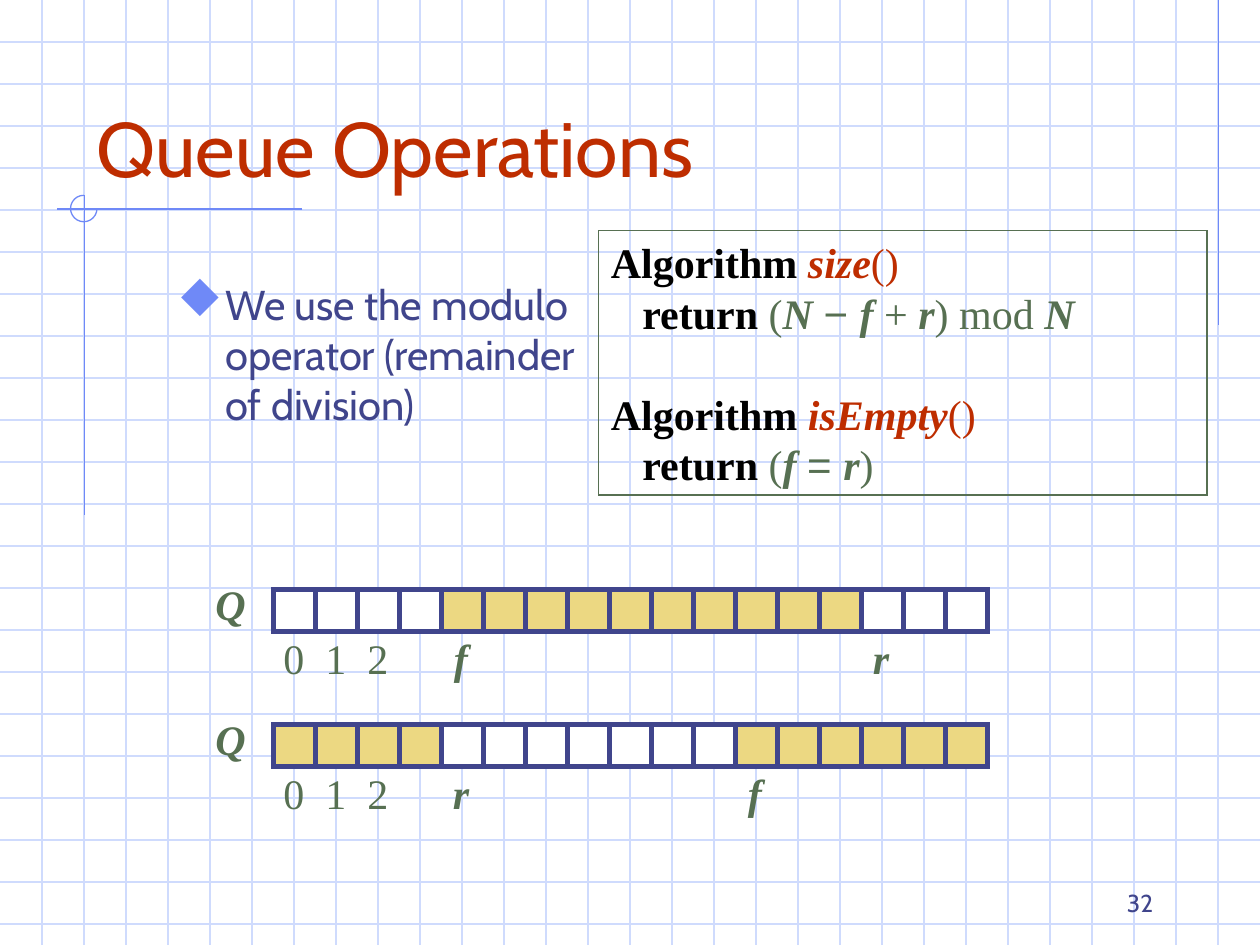
from lxml.etree import SubElement
from pptx import Presentation
from pptx.dml.color import RGBColor
from pptx.enum.shapes import MSO_CONNECTOR as Connector, MSO_SHAPE as Shape
from pptx.enum.text import MSO_ANCHOR as Anchor, PP_ALIGN as Align
from pptx.oxml.ns import qn
from pptx.util import Inches, Pt

GRID, BLUE, NAVY = "CFDBFD", "6F89F7", "40458C"
RED, GREEN, BLACK = "BE2D00", "577052", "000000"
WHITE, GOLD = "FFFFFF", "ECD882"
SANS, SERIF, SYMBOL = "Cabin", "Times New Roman", "Arial"
BULLET_FONT, DIAMOND = "Wingdings", "u"
STEP = 1 / 3
CELL_COUNT = 17


def color(value):
    return RGBColor.from_string(value)


def add_run(paragraph, text, size=24, font=SERIF, fill=GREEN, bold=False, italic=False):
    run = paragraph.add_run()
    run.text = text
    run.font.size = Pt(size)
    run.font.name = font
    run.font.color.rgb = color(fill)
    run.font.bold = bold
    run.font.italic = italic


def add_bullet(paragraph, symbol, fill, percent, indent):
    properties = paragraph._p.get_or_add_pPr()
    properties.set("marL", str(Inches(indent)))
    properties.set("indent", str(Inches(-indent)))
    bullet_color = SubElement(properties, qn("a:buClr"))
    SubElement(bullet_color, qn("a:srgbClr"), val=fill)
    SubElement(properties, qn("a:buSzPct"), val=str(percent * 1000))
    SubElement(properties, qn("a:buFont"), typeface=BULLET_FONT, pitchFamily="2", charset="2")
    SubElement(properties, qn("a:buChar"), char=symbol)


class QueueSlide:
    """Draws the elements of one slide in the style of the queue lecture."""

    def __init__(self, presentation):
        self.shapes = presentation.slides.add_slide(presentation.slide_layouts[6]).shapes

    def line(self, left, top, right, bottom, stroke=BLUE):
        line = self.shapes.add_connector(
            Connector.STRAIGHT, Inches(left), Inches(top), Inches(right), Inches(bottom))
        line.line.color.rgb = color(stroke)
        line.line.width = Pt(0.75)
        SubElement(line._element.spPr, qn("a:effectLst"))

    def shape(self, kind, left, top, width, height, stroke, weight=0.75, fill=None):
        shape = self.shapes.add_shape(
            kind, Inches(left), Inches(top), Inches(width), Inches(height))
        shape.shadow.inherit = False
        if fill:
            shape.fill.solid()
            shape.fill.fore_color.rgb = color(fill)
        else:
            shape.fill.background()
        shape.line.color.rgb = color(stroke)
        shape.line.width = Pt(weight)
        SubElement(shape._element.spPr.find(qn("a:ln")), qn("a:miter"), lim="800000")
        return shape

    def text(self, text, left, top, width, height, align=Align.LEFT,
             anchor=Anchor.TOP, inset=True, wrap=True, **style):
        box = self.shapes.add_textbox(Inches(left), Inches(top), Inches(width), Inches(height))
        frame = box.text_frame
        frame.word_wrap = wrap
        frame.vertical_anchor = anchor
        if not inset:
            frame.margin_left = frame.margin_right = 0
            frame.margin_top = frame.margin_bottom = 0
        paragraph = frame.paragraphs[0]
        paragraph.alignment = align
        add_run(paragraph, text, **style)
        return paragraph

    def label(self, text, left, top, width=0.31, **style):
        self.text(text, left, top, width, 0.4, Align.CENTER, inset=False,
                  bold=True, italic=True, **style)

    def background(self):
        for row in range(1, 23):
            self.line(0, row * STEP, 10, row * STEP, GRID)
        for column in range(1, 30):
            self.line(column * STEP, 0, column * STEP, 7.5, GRID)
        self.line(9.67, 0, 9.67, 2.58)
        self.line(2.4, 1.66, 0.45, 1.66)
        self.line(0.67, 1.55, 0.67, 4.09)
        arc = self.shape(Shape.ARC, 0.56, 1.55, 0.21, 0.21, BLUE)
        arc.adjustments[0] = 0
        arc.adjustments[1] = 270 * 0.6

    def algorithms(self, algorithms):
        box = self.shape(Shape.RECTANGLE, 4.75, 1.83, 4.83, 2.1, GREEN)
        frame = box.text_frame
        frame.word_wrap = True
        frame.vertical_anchor = Anchor.TOP
        for index, (name, expression) in enumerate(algorithms):
            heading = frame.add_paragraph() if index else frame.paragraphs[0]
            if index:
                heading.space_before = Pt(29)
            add_run(heading, "Algorithm ", fill=BLACK, bold=True)
            add_run(heading, name, fill=RED, bold=True, italic=True)
            add_run(heading, "()", fill=RED)
            body = frame.add_paragraph()
            body._p.get_or_add_pPr().set("marL", str(Inches(0.25)))
            add_run(body, "return ", fill=BLACK, bold=True)
            for text, style in expression:
                add_run(body, text, **style)
            for paragraph in (heading, body):
                paragraph.alignment = Align.LEFT

    def queue(self, top, filled, front, rear):
        left = 2.17
        self.label("Q", 1.67, top - 0.09, 0.32)
        for index in range(3):
            self.text(str(index), 2.25 + index * STEP, top + 0.34, 0.17, 0.4,
                      inset=False, wrap=False)
        for name, index in (("f", front), ("r", rear)):
            self.label(name, left + index * STEP, top + 0.34)
        for index in range(CELL_COUNT):
            self.shape(Shape.RECTANGLE, left + index * STEP, top, STEP, STEP, NAVY, 3,
                       GOLD if index in filled else WHITE)


def main():
    presentation = Presentation()
    presentation.slide_width = Inches(10)
    presentation.slide_height = Inches(7.5)
    slide = QueueSlide(presentation)
    slide.background()
    slide.text("Queue Operations", 0.67, 0.33, 8.5, 1.25, anchor=Anchor.BOTTOM,
               size=44, font=SANS, fill=RED)
    statement = slide.text("We use the modulo operator (remainder of division)",
                           1.31, 2.16, 3.46, 1.89, size=23.8, font=SANS, fill=NAVY)
    add_bullet(statement, DIAMOND, BLUE, 110, 0.38)

    plain, symbol = {}, {"font": SYMBOL}
    variable = {"bold": True, "italic": True}
    slide.algorithms([
        ("size", [("(", plain), ("N ", variable), ("− ", symbol), ("f", variable),
                  (" + ", plain), ("r", variable), (") mod ", plain), ("N", variable)]),
        ("isEmpty", [("(", plain), ("f ", variable), ("= ", symbol),
                     ("r", variable), (")", plain)]),
    ])
    slide.queue(4.68, range(4, 14), front=4, rear=14)
    slide.queue(5.75, [*range(4), *range(11, CELL_COUNT)], front=11, rear=4)
    slide.text("32", 7.17, 6.83, 2.08, 0.5, Align.RIGHT, Anchor.BOTTOM,
               size=14, font=SANS, fill=NAVY)
    presentation.save("out.pptx")


if __name__ == "__main__":
    main()
